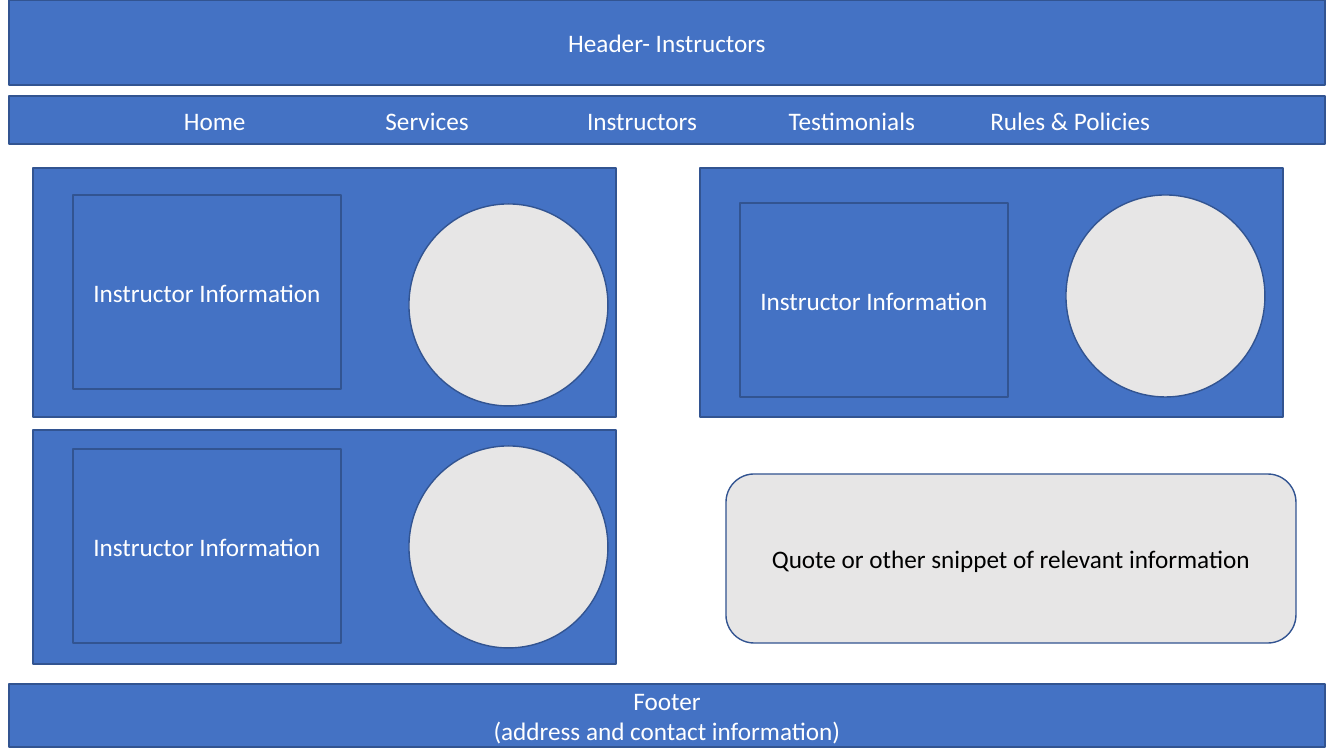
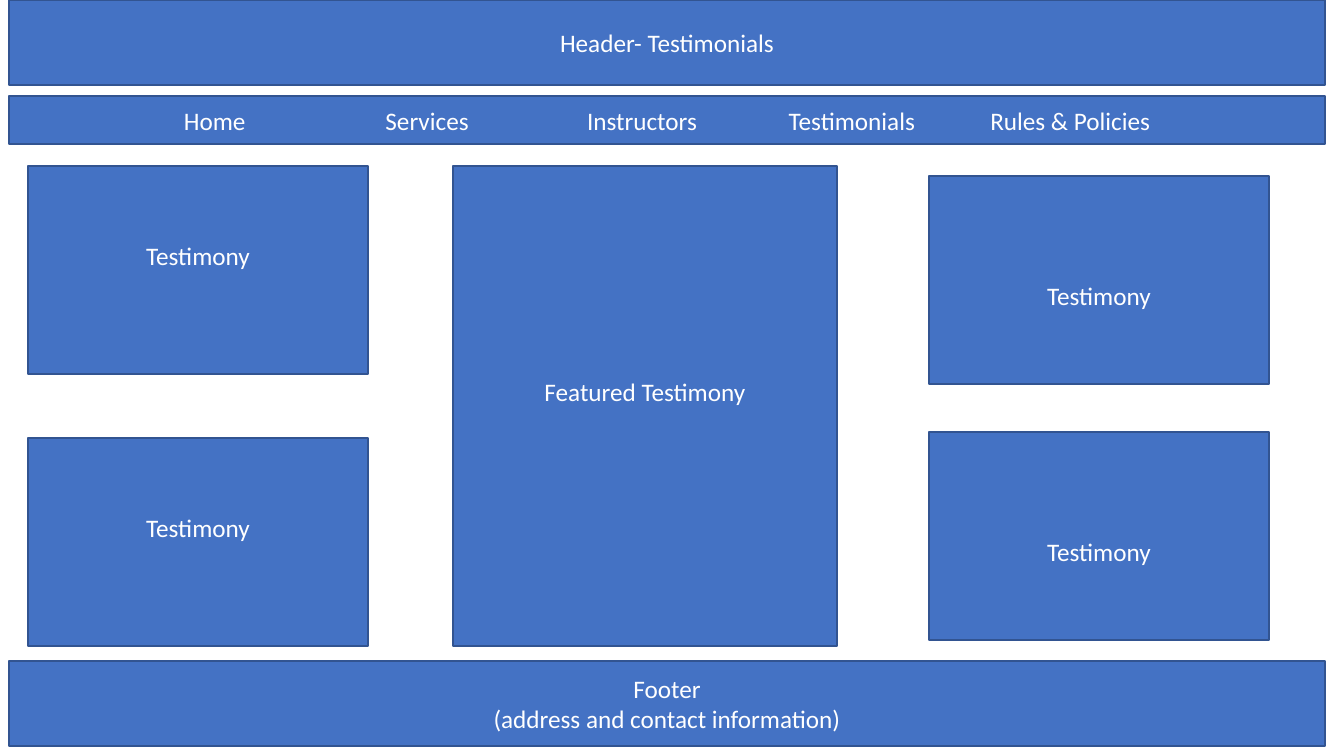
from pptx import Presentation
from pptx.dml.color import RGBColor
from pptx.enum.shapes import MSO_SHAPE
from pptx.enum.text import MSO_ANCHOR, MSO_AUTO_SIZE, PP_ALIGN
from pptx.util import Emu, Inches, Pt

SCALE = 914400 / 100.8
BLUE, OUTLINE, GREY, WHITE, BLACK = "4472C4", "325491", "E7E6E6", "FFFFFF", "000000"
RECT, OVAL, ROUND = MSO_SHAPE.RECTANGLE, MSO_SHAPE.OVAL, MSO_SHAPE.ROUNDED_RECTANGLE
BAND_LEFT, BAND_WIDTH = 9, 1316
LINE_HEIGHT = 30
FRAME_FORMAT = {"word_wrap": True, "auto_size": MSO_AUTO_SIZE.NONE, "vertical_anchor": MSO_ANCHOR.MIDDLE}
FONT_FORMAT = {"name": "Calibri", "size": Pt(18)}
MENU = "Home\t\tServices\t\tInstructors\tTestimonials\tRules & Policies"
FOOTER = "Footer\n(address and contact information)"


def pixels(value):
    return Emu(round(value * SCALE))


def format_box(box, place, text="", fill=BLUE, color=WHITE, lift=0):
    for name, value in zip(("left", "top", "width", "height"), place):
        setattr(box, name, pixels(value))
    box.fill.solid()
    box.fill.fore_color.rgb = RGBColor.from_string(fill)
    box.line.color.rgb = RGBColor.from_string(OUTLINE)
    box.line.width = Pt(1)
    if not text:
        return
    frame = box.text_frame
    frame.text = text
    margins = {"margin_top": pixels(5 + max(-lift, 0)), "margin_bottom": pixels(5 + max(lift, 0))}
    for name, value in (FRAME_FORMAT | margins).items():
        setattr(frame, name, value)
    for para in frame.paragraphs:
        para.alignment = PP_ALIGN.CENTER
        para._p.get_or_add_pPr().set("defTabSz", str(Inches(1)))
        for span in para.runs:
            span.font.color.rgb = RGBColor.from_string(color)
            for name, value in FONT_FORMAT.items():
                setattr(span.font, name, value)


instructor_boxes = []
for card, info, photo in [
    ((33, 168, 583, 249), (73, 195), (409, 204)),
    ((33, 430, 583, 234), (73, 449), (409, 446)),
    ((700, 168, 583, 249), (740, 203), (1066, 195)),
]:
    instructor_boxes += [
        (RECT, card, {}),
        (RECT, (*info, 268, 194), {"text": "Instructor Information"}),
        (OVAL, (*photo, 199, 202), {"fill": GREY}),
    ]
instructor_boxes.append((ROUND, (726, 474, 570, 169), {
    "text": "Quote or other snippet of relevant information", "fill": GREY, "color": BLACK}))

testimony_boxes = [
    (RECT, (left, top, 340, 208), {"text": "Testimony", "lift": lift})
    for left, top, lift in [
        (28, 166, LINE_HEIGHT), (28, 438, LINE_HEIGHT),
        (929, 176, -LINE_HEIGHT), (929, 432, -LINE_HEIGHT),
    ]
]
testimony_boxes.append((RECT, (453, 166, 384, 480), {"text": "Featured Testimony", "lift": LINE_HEIGHT}))

deck = Presentation()
deck.slide_width, deck.slide_height = pixels(1344), pixels(756)

for header, footer_top, footer_height, content in [
    ("Header- Instructors", 684, 63, instructor_boxes),
    ("Header- Testimonials", 661, 85, testimony_boxes),
]:
    page = deck.slides.add_slide(deck.slide_layouts[5])
    format_box(page.shapes.title, (BAND_LEFT, 0, BAND_WIDTH, 85), header)
    bands = [
        (RECT, (BAND_LEFT, 96, BAND_WIDTH, 48), {"text": MENU}),
        (RECT, (BAND_LEFT, footer_top, BAND_WIDTH, footer_height), {"text": FOOTER}),
    ]
    for kind, place, look in bands + content:
        box = page.shapes.add_shape(kind, 0, 0, 0, 0)
        box.shadow.inherit = False
        format_box(box, place, **look)

deck.save("out.pptx")
